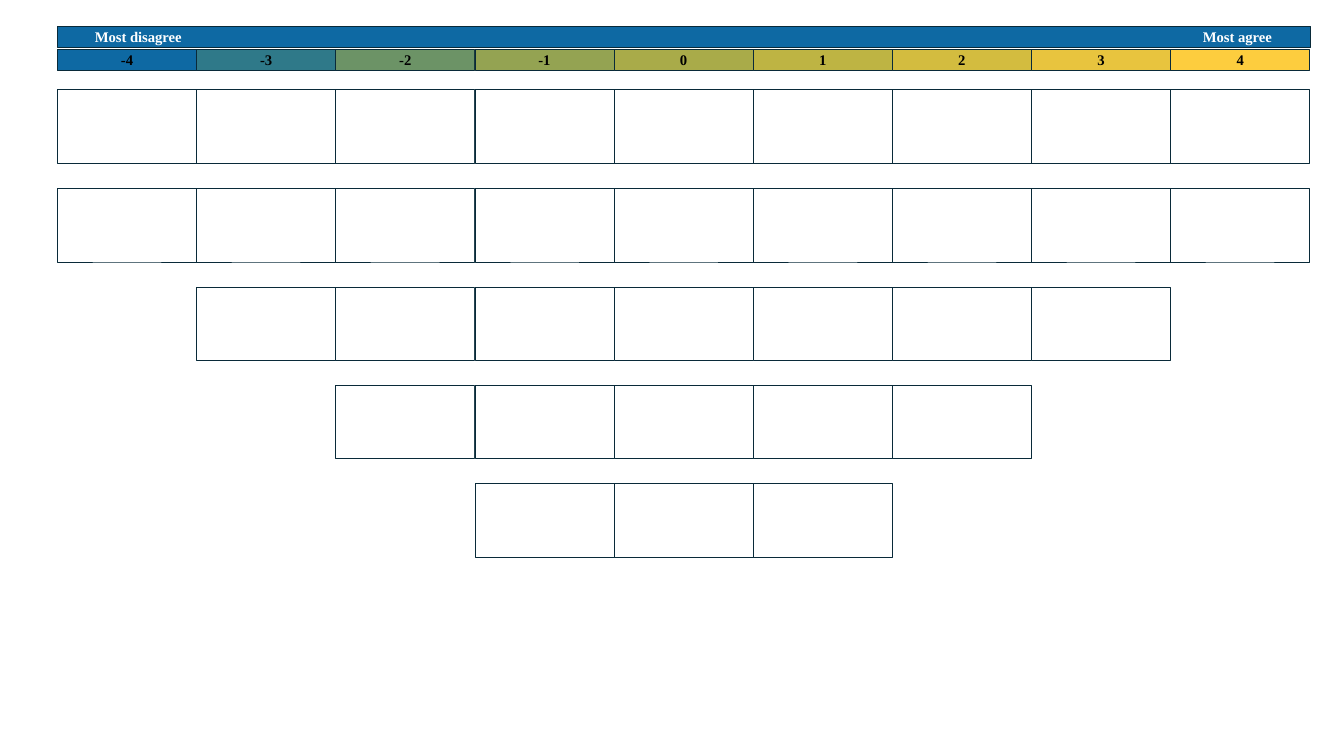
from lxml import etree
from pptx import Presentation
from pptx.dml.color import RGBColor
from pptx.enum.shapes import MSO_SHAPE
from pptx.enum.text import MSO_ANCHOR, PP_ALIGN
from pptx.oxml.ns import qn
from pptx.util import Emu, Pt

RECT = MSO_SHAPE.RECTANGLE
MID = MSO_ANCHOR.MIDDLE
LEFT, CENTER = PP_ALIGN.LEFT, PP_ALIGN.CENTER
SCALE = 9144
BLANK = 6
COLS = 9
WIDE = 138
BLUE, EDGE, WHITE, BLACK = "0E69A3", "092A39", "FFFFFF", "000000"
SHADES = [BLUE, "2F7989", "6C9366", "94A352", "A9AB49",
          "BEB443", "D3BC3F", "E8C43E", "FDCD3E"]
ROWS = [9, 9, 7, 5, 3]
PITCH = 97.75
FONT = {"name": "Times New Roman", "size": Pt(10.5), "bold": True}


def px(num):
    return Emu(num * SCALE)


def color(code):
    return RGBColor.from_string(code)


def add_box(slide, box, fill):
    shape = slide.shapes.add_shape(RECT, *map(px, box))
    shape.shadow.inherit = False
    shape.fill.solid()
    shape.fill.fore_color.rgb = color(fill)
    shape.line.color.rgb = color(EDGE)
    shape.line.width = Pt(0.5)
    return shape


def add_text(shape, text, ink, align=CENTER, inset=0):
    frame = shape.text_frame
    look = {"margin_left": px(inset), "margin_right": 0, "margin_top": 0,
            "margin_bottom": 0, "vertical_anchor": MID, "word_wrap": True}
    for key, val in look.items():
        setattr(frame, key, val)
    para = frame.paragraphs[0]
    para.alignment = align
    run = para.add_run()
    run.text = text
    for key, val in FONT.items():
        setattr(run.font, key, val)
    run.font.color.rgb = color(ink)
    return para


def draw_grid(slide, left, top, high):
    for row, count in enumerate(ROWS):
        start = left + (COLS - count) // 2 * WIDE
        level = top + round(row * PITCH)
        for col in range(count):
            add_box(slide, (start + col * WIDE, level, WIDE, high), WHITE)


def draw_scale(slide, left, top, high):
    for col, shade in enumerate(SHADES):
        cell = add_box(slide, (left + col * WIDE, top, WIDE, high), shade)
        add_text(cell, str(col - COLS // 2), BLACK)


def draw_banner(slide, left, top, high):
    bar = add_box(slide, (left, top, COLS * WIDE + 1, high), BLUE)
    para = add_text(bar, "Most disagree\tMost agree", WHITE, LEFT, 37)
    props = para._p.get_or_add_pPr()
    tabs = etree.SubElement(props, qn("a:tabLst"))
    etree.SubElement(tabs, qn("a:tab"), pos=str(px(1099)), algn="l")


def main():
    deck = Presentation()
    deck.slide_width, deck.slide_height = px(1333), px(750)
    slide = deck.slides.add_slide(deck.slide_layouts[BLANK])
    draw_grid(slide, 57, 89, 73)
    draw_scale(slide, 57, 49, 21)
    draw_banner(slide, 57, 26, 21)
    deck.save("out.pptx")


if __name__ == "__main__":
    main()
